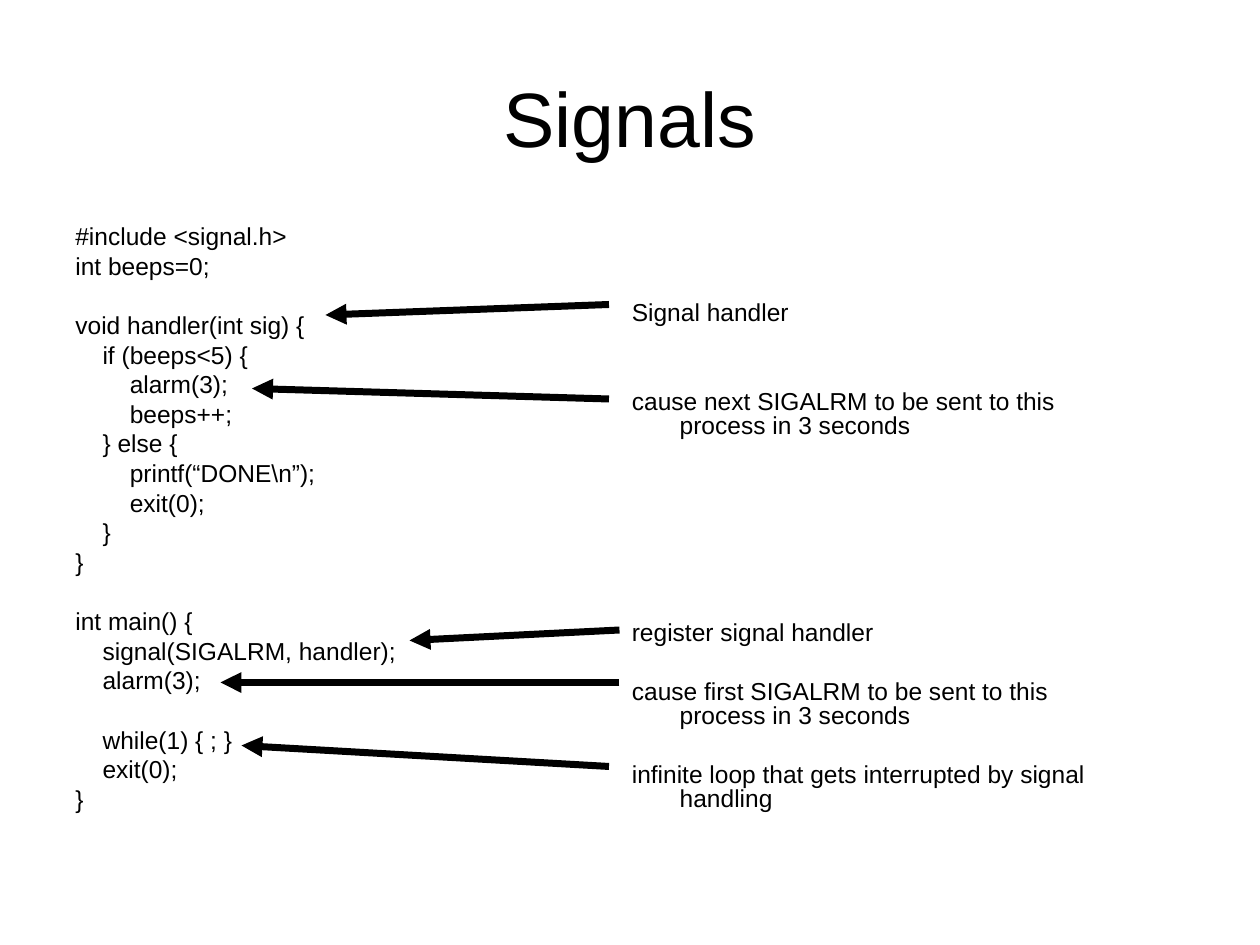
"""Build a slide that explains a C signal handler with annotated code."""
from dataclasses import dataclass

from lxml.etree import SubElement
from pptx import Presentation
from pptx.dml.color import RGBColor
from pptx.enum.shapes import MSO_CONNECTOR as Connector
from pptx.enum.text import MSO_ANCHOR as Anchor, PP_ALIGN as Align
from pptx.oxml.ns import qn
from pptx.util import Inches, Pt


@dataclass(frozen=True)
class Theme:
    ink: RGBColor = RGBColor(0, 0, 0)
    paper: RGBColor = RGBColor(255, 255, 255)
    font: str = "Arial"
    title_size: float = 44
    text_size: float = 14
    line_spacing: float = 0.8
    space_before: float = 3.5
    row_height: float = 16.94
    arrow_width: float = 4


THEME = Theme()
CELL = Inches(1) // 12
HANGING = Inches(0.38)

CODE = """#include <signal.h>
int beeps=0;

void handler(int sig) {
    if (beeps<5) {
        alarm(3);
        beeps++;
    } else {
        printf(“DONE\\n”);
        exit(0);
    }
}

int main() {
    signal(SIGALRM, handler);
    alarm(3);

    while(1) { ; }
    exit(0);
}"""

NOTES = [
    (0, "Signal handler"),
    (2, "cause next SIGALRM to be sent to this process in 3 seconds"),
    (6, "register signal handler"),
    (1, "cause first SIGALRM to be sent to this process in 3 seconds"),
    (1, "infinite loop that gets interrupted by signal handling"),
]

ARROWS = [
    ((59, 60), (39, 61)),
    ((58, 38), (24, 37)),
    ((59, 65), (21, 65)),
    ((58, 29), (31, 30)),
    ((58, 73), (23, 71)),
]


def style_font(font, size):
    font.name = THEME.font
    font.size = Pt(size)
    font.color.rgb = THEME.ink


def add_column(slide, left, top, rows, margin_top):
    box = slide.shapes.add_textbox(left * CELL, top * CELL, 47 * CELL, Inches(4.95))
    frame = box.text_frame
    frame.word_wrap = True
    frame.margin_top = Inches(margin_top)
    for index, (skipped, text) in enumerate(rows):
        paragraph = frame.add_paragraph() if index else frame.paragraphs[0]
        paragraph.text = text
        paragraph.line_spacing = THEME.line_spacing
        if index:
            paragraph.space_before = Pt(THEME.space_before + skipped * THEME.row_height)
        properties = paragraph._p.get_or_add_pPr()
        properties.set("marL", str(HANGING))
        properties.set("indent", str(-HANGING))
        style_font(paragraph.runs[0].font, THEME.text_size)


presentation = Presentation()
presentation.slide_width = 120 * CELL
presentation.slide_height = 90 * CELL
slide = presentation.slides.add_slide(presentation.slide_layouts[5])
slide.background.fill.solid()
slide.background.fill.fore_color.rgb = THEME.paper

title = slide.shapes.title
title.left, title.top = 6 * CELL, Inches(0.3)
title.width, title.height = 108 * CELL, 15 * CELL
title.text_frame.text = "Signals"
title.text_frame.vertical_anchor = Anchor.MIDDLE
heading = title.text_frame.paragraphs[0]
heading.alignment = Align.CENTER
style_font(heading.runs[0].font, THEME.title_size)

code_rows = [
    (int(block_index > 0 and line_index == 0), line)
    for block_index, block in enumerate(CODE.split("\n\n"))
    for line_index, line in enumerate(block.split("\n"))
]
add_column(slide, 6, 21, code_rows, margin_top=0.05)
add_column(slide, 59, 22, NOTES, margin_top=0.57)

for start, end in ARROWS:
    points = [value * CELL for value in start + end]
    arrow = slide.shapes.add_connector(Connector.STRAIGHT, *points)
    arrow.line.color.rgb = THEME.ink
    arrow.line.width = Pt(THEME.arrow_width)
    SubElement(arrow.line._get_or_add_ln(), qn("a:tailEnd"), type="triangle")
    SubElement(arrow._element.spPr, qn("a:effectLst"))

presentation.save("out.pptx")
